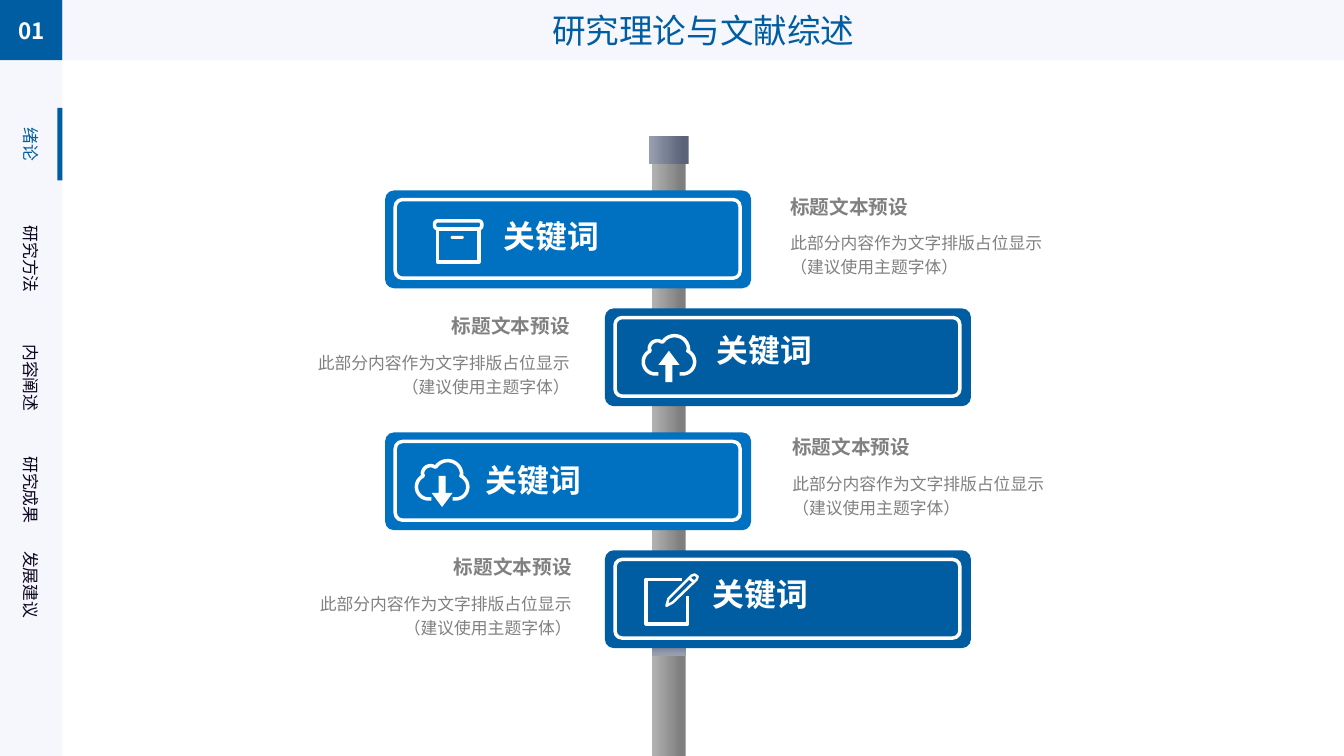
import math
from lxml import etree
from pptx import Presentation
from pptx import util as u
from pptx.dml.color import RGBColor
from pptx.enum import shapes, text
from pptx.oxml import ns

NAVY = RGBColor(0x00, 0x5D, 0xA2)
BLUE = RGBColor(0x00, 0x70, 0xC0)
PALE = RGBColor(0xF6, 0xF7, 0xFC)
INK = RGBColor(0x0E, 0x05, 0x20)
GRAY = RGBColor(0x80, 0x80, 0x80)
WHITE = RGBColor(0xFF, 0xFF, 0xFF)
POLE_DARK = RGBColor(0x7F, 0x7F, 0x7F)
POLE_LIGHT = RGBColor(0xB2, 0xB2, 0xB2)
STEEL_DARK = RGBColor(0x5A, 0x63, 0x78)
STEEL_LIGHT = RGBColor(0x98, 0xA0, 0xB2)

FONT = "Noto Sans CJK SC"
NUMBER_FONT = "Noto Sans CJK JP"
KIND = shapes.MSO_SHAPE
ALIGN = text.PP_ALIGN
ANCHOR = text.MSO_ANCHOR
SIGN_WIDTH, SIGN_HEIGHT = 3.63, 0.97
CAPTION_WIDTH = 3.01


def assign(target, values):
    """Set every attribute in a dict of format values."""
    for name, value in values.items():
        setattr(target, name, value)


def write(box, words, size, color, align=ALIGN.LEFT, bold=False, font=FONT, spacing=1.0):
    """Write one formatted paragraph in a box."""
    para = box.text_frame.paragraphs[0]
    assign(para, {"alignment": align, "line_spacing": spacing})
    span = para.add_run()
    span.text = words
    assign(span.font, {"size": u.Pt(size), "bold": bold, "name": font})
    span.font.color.rgb = color
    east = etree.SubElement(span._r.get_or_add_rPr(), ns.qn("a:ea"))
    east.set("typeface", font)


def add_text(page, left, top, width, height, words, size, color, wrap=True, **style):
    """Add a text box holding one paragraph."""
    box = page.shapes.add_textbox(*map(u.Inches, (left, top, width, height)))
    box.text_frame.word_wrap = wrap
    write(box, words, size, color, **style)
    return box


def paint(shape, fill=None, line=None, weight=2.5):
    """Give a shape a plain fill and outline without a shadow."""
    shape.shadow.inherit = False
    if fill is None:
        shape.fill.background()
    else:
        shape.fill.solid()
        shape.fill.fore_color.rgb = fill
    if line is None:
        shape.line.fill.background()
    else:
        shape.line.color.rgb = line
        shape.line.width = u.Pt(weight)


def add_block(page, left, top, width, height, kind=KIND.RECTANGLE, adjust=(), **look):
    """Add a painted preset shape."""
    block = page.shapes.add_shape(kind, *map(u.Inches, (left, top, width, height)))
    for index, value in enumerate(adjust):
        block.adjustments[index] = value
    paint(block, **look)
    return block


def add_metal(page, left, top, width, height, dark, light, start=0.15, angle=180):
    """Add a rectangle with a metallic gradient."""
    metal = add_block(page, left, top, width, height)
    metal.fill.gradient()
    metal.fill.gradient_angle = angle
    for stop, color, position in zip(metal.fill.gradient_stops, (dark, light), (start, 1)):
        stop.color.rgb = color
        stop.position = position


def add_stroke(page, left, top, points, weight, close=False):
    """Draw a white outline through points relative to a corner."""
    spots = [(u.Inches(left + x), u.Inches(top + y)) for x, y in points]
    builder = page.shapes.build_freeform(*spots[0])
    builder.add_line_segments(spots[1:], close=close)
    paint(builder.convert_to_shape(), line=WHITE, weight=weight)


def arc(center_x, center_y, radius, start, end, steps=14):
    """Return points along a circular arc given in degrees."""
    angles = [math.radians(start + (end - start) * i / steps) for i in range(steps + 1)]
    return [(center_x + radius * math.cos(a), center_y + radius * math.sin(a)) for a in angles]


def draw_archive(page, left, top):
    """Draw the archive box icon."""
    add_block(page, left + 0.05, top + 0.1, 0.41, 0.33, line=WHITE)
    add_block(page, left + 0.02, top + 0.02, 0.47, 0.08, KIND.ROUNDED_RECTANGLE, [0.4], line=WHITE)
    add_block(page, left + 0.18, top + 0.17, 0.13, 0.03, KIND.ROUNDED_RECTANGLE, [0.5], fill=WHITE)


def draw_cloud(page, left, top, kind):
    """Draw a cloud icon around an arrow."""
    outline = [(0.17, 0.4), *arc(0.14, 0.28, 0.12, 90, 245), *arc(0.16, 0.15, 0.08, 180, 305),
               *arc(0.33, 0.16, 0.14, 215, 360), *arc(0.41, 0.28, 0.12, -65, 90), (0.38, 0.4)]
    add_stroke(page, left, top, outline, 2.5)
    add_block(page, left + 0.17, top + 0.17, 0.21, 0.31, kind, [0.33, 0.67], fill=WHITE)


def draw_upload(page, left, top):
    """Draw the cloud with an arrow up."""
    draw_cloud(page, left, top, KIND.UP_ARROW)


def draw_download(page, left, top):
    """Draw the cloud with an arrow down."""
    draw_cloud(page, left, top, KIND.DOWN_ARROW)


def draw_note(page, left, top):
    """Draw the sheet and pencil icon."""
    sheet = [(0.37, 0.02), (0.02, 0.02), (0.02, 0.46), (0.43, 0.46), (0.43, 0.18)]
    pencil = [(0.22, 0.28), (0.24, 0.21), (0.47, -0.02), (0.5, -0.03),
              (0.53, -0.01), (0.52, 0.02), (0.28, 0.25)]
    add_stroke(page, left, top, sheet, 2.6)
    add_stroke(page, left, top, pencil, 1.75, close=True)
    add_stroke(page, left, top, [(0.45, 0.01), (0.49, 0.04)], 2)


def draw_header(page, left, top, width, height, corner):
    """Draw the section number and the page title."""
    number = add_block(page, left, top, corner, height, fill=NAVY)
    title = add_block(page, left + corner, top, width - corner, height, fill=PALE)
    for box in (number, title):
        box.text_frame.vertical_anchor = ANCHOR.MIDDLE
    write(number, "01", 16, WHITE, ALIGN.CENTER, True, NUMBER_FONT)
    write(title, "研究理论与文献综述", 24, NAVY, ALIGN.CENTER)


def draw_sidebar(page, left, top, width, height):
    """Draw the rotated chapter list with its active marker."""
    add_block(page, left, top, width, height, fill=PALE)
    chapters = [("绪论", 0.83), ("研究方法", 1.97), ("内容阐述", 3.15),
                ("研究成果", 4.26), ("发展建议", 5.2)]
    for index, (name, middle) in enumerate(chapters):
        length = 0.2 + len(name) * 0.17
        label = add_text(page, left + width / 2 - length / 2, top + middle - 0.15, length, 0.3,
                         name, 12, INK if index else NAVY, wrap=False, align=ALIGN.CENTER)
        label.rotation = 90
    add_block(page, left + width - 0.05, top + 0.47, 0.05, 0.72, fill=NAVY)


def draw_pole(page, left, top, width, height):
    """Draw the signpost pole with its cap and band."""
    add_metal(page, left, top + 0.16, width, height - 0.16, POLE_DARK, POLE_LIGHT)
    add_metal(page, left - 0.03, top, width + 0.06, 0.28, STEEL_DARK, STEEL_LIGHT)
    add_metal(page, left, top + 4.83, width, 0.32, STEEL_DARK, STEEL_LIGHT, 0.46, 270)


def draw_sign(page, left, top, color, icon, icon_at, word_at):
    """Draw a sign plate with its icon and keyword."""
    add_block(page, left, top, SIGN_WIDTH, SIGN_HEIGHT, KIND.ROUNDED_RECTANGLE, [0.09], fill=color)
    add_block(page, left + 0.1, top + 0.09, SIGN_WIDTH - 0.21, SIGN_HEIGHT - 0.19,
              KIND.ROUNDED_RECTANGLE, [0.09], line=WHITE)
    icon(page, left + icon_at[0], top + icon_at[1])
    add_text(page, left + word_at[0], top + word_at[1], 1.3, 0.44, "关键词", 22.7, WHITE,
             bold=True, spacing=0.8)


def draw_caption(page, left, top, align):
    """Draw the heading and description beside a sign."""
    add_text(page, left, top, CAPTION_WIDTH, 0.37, "标题文本预设", 14, GRAY, align=align, bold=True)
    add_text(page, left, top + 0.34, CAPTION_WIDTH, 0.61,
             "此部分内容作为文字排版占位显示（建议使用主题字体）", 12, GRAY, align=align, spacing=1.2)


def main():
    """Build the signpost slide."""
    deck = Presentation()
    assign(deck, {"slide_width": u.Inches(13.33), "slide_height": u.Inches(7.5)})
    page = deck.slides.add_slide(deck.slide_layouts[6])
    draw_header(page, 0, 0, 13.33, 0.6, 0.62)
    draw_sidebar(page, 0, 0.6, 0.62, 6.9)
    draw_pole(page, 6.47, 1.35, 0.33, 6.15)
    signs = [(draw_archive, (0.47, 0.28), (1.08, 0.28), (7.74, 1.88)),
             (draw_upload, (0.36, 0.25), (1.01, 0.25), (2.74, 3.07)),
             (draw_download, (0.29, 0.26), (0.9, 0.3), (7.76, 4.27)),
             (draw_note, (0.39, 0.27), (0.97, 0.27), (2.76, 5.46))]
    for index, (icon, icon_at, word_at, caption_at) in enumerate(signs):
        pair, side = divmod(index, 2)
        draw_sign(page, (3.82, 6)[side], 1.89 + 2.4 * pair + 1.17 * side,
                  (BLUE, NAVY)[side], icon, icon_at, word_at)
        draw_caption(page, *caption_at, (ALIGN.LEFT, ALIGN.RIGHT)[side])
    deck.save("out.pptx")


if __name__ == "__main__":
    main()
